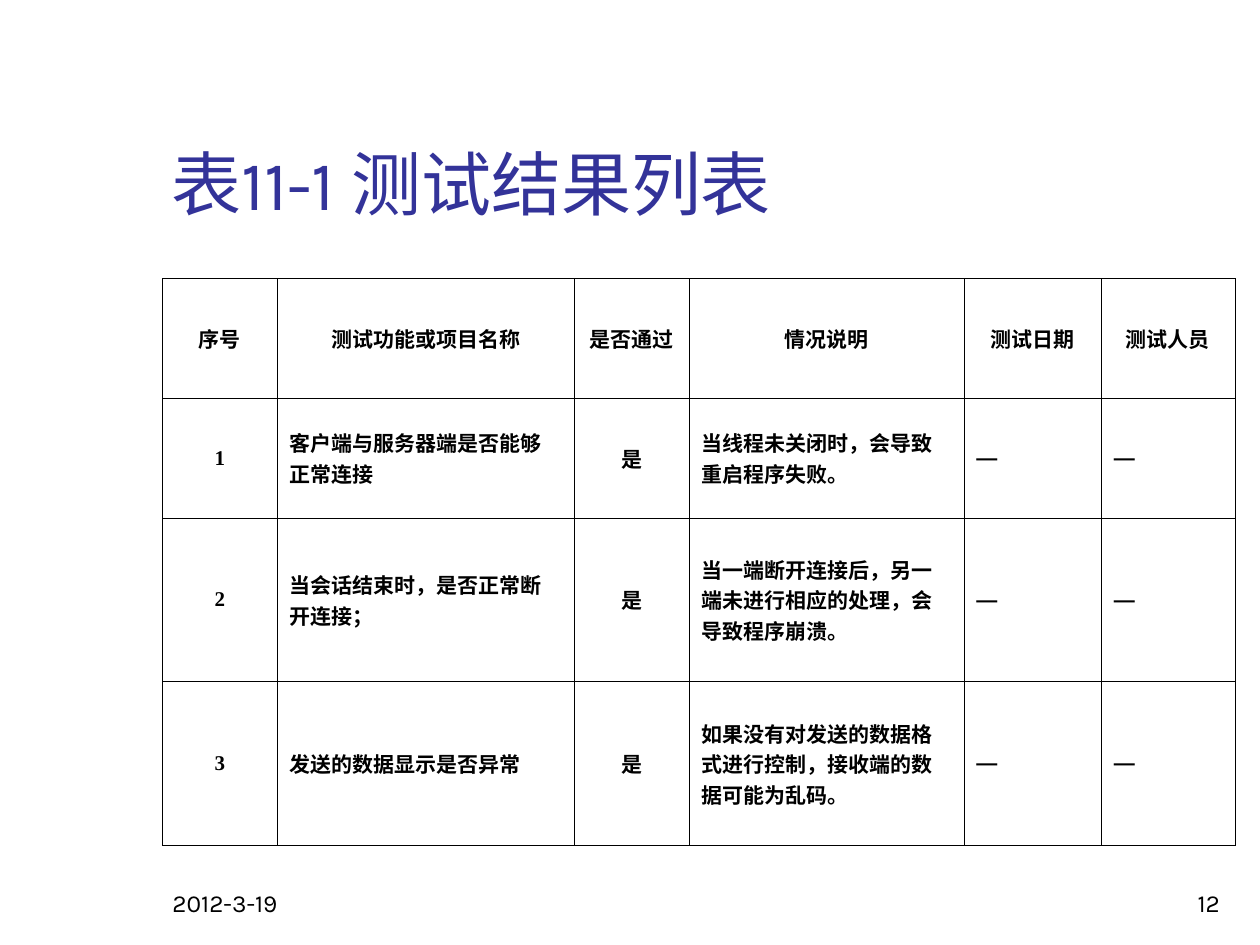
import pptx
import pptx.dml.color
import pptx.enum.text
import pptx.oxml
import pptx.oxml.ns
import pptx.util
from dataclasses import dataclass
from pptx.util import Inches

ALIGN = pptx.enum.text.PP_ALIGN
ANCHOR = pptx.enum.text.MSO_ANCHOR


@dataclass(frozen=True)
class Theme:
    ink: str = "000000"
    blue: str = "333399"
    sans: str = "Karla"
    serif: str = "Times New Roman"
    dash: str = "Arial"
    title: int = 40
    foot: int = 14
    body: int = 12
    rule: float = 0.23


theme = Theme()


def write(frame, text, size, font=theme.sans, color=theme.ink,
          align=ALIGN.LEFT, bold=False):
    frame.word_wrap = True
    par = frame.paragraphs[0]
    par.alignment = align
    run = par.add_run()
    run.text = text
    run.font.size = pptx.util.Pt(size)
    run.font.name = font
    run.font.bold = bold
    run.font.color.rgb = pptx.dml.color.RGBColor.from_string(color)


def outline(cell):
    """Draw a thin line on all four sides of a cell."""
    props = cell._tc.get_or_add_tcPr()
    width = int(pptx.util.Pt(theme.rule))
    for place, side in enumerate(("lnL", "lnR", "lnT", "lnB")):
        line = pptx.oxml.parse_xml(
            f'<a:{side} {pptx.oxml.ns.nsdecls("a")} w="{width}"><a:solidFill>'
            f'<a:srgbClr val="{theme.ink}"/></a:solidFill></a:{side}>')
        props.insert(place, line)


deck = pptx.Presentation()
deck.slide_width = Inches(10)
deck.slide_height = Inches(7.5)
slide = deck.slides.add_slide(deck.slide_layouts[6])

# Date, page number and title
labels = [
    ("2012-3-19", (1.27, 6.83, 2.08, 0.5), dict(size=theme.foot)),
    ("12", (7.7, 6.83, 2.08, 0.5), dict(size=theme.foot, align=ALIGN.RIGHT)),
    ("表11-1 测试结果列表", (1.26, 0.23, 8.52, 1.6),
     dict(size=theme.title, color=theme.blue)),
]
for text, place, style in labels:
    box = slide.shapes.add_textbox(*map(Inches, place))
    box.text_frame.vertical_anchor = ANCHOR.BOTTOM
    write(box.text_frame, text, **style)

# Test results
widths = [0.91, 2.36, 0.91, 2.18, 1.09, 1.06]
heights = [0.95, 0.95, 1.3, 1.3]
heads = ["序号", "测试功能或项目名称", "是否通过", "情况说明", "测试日期", "测试人员"]
tests = [
    ("客户端与服务器端是否能够正常连接", "当线程未关闭时，会导致重启程序失败。"),
    ("当会话结束时，是否正常断开连接；",
     "当一端断开连接后，另一端未进行相应的处理，会导致程序崩溃。"),
    ("发送的数据显示是否异常",
     "如果没有对发送的数据格式进行控制，接收端的数据可能为乱码。"),
]
rows = [heads] + [[str(num), name, "是", note, "—", "—"]
                  for num, (name, note) in enumerate(tests, 1)]

table = slide.shapes.add_table(
    len(rows), len(heads), Inches(1.29), Inches(2.21),
    Inches(sum(widths)), Inches(sum(heights))).table
table.first_row = False
table.horz_banding = False
for col, width in zip(table.columns, widths):
    col.width = Inches(width)
for row, height in zip(table.rows, heights):
    row.height = Inches(height)

for r, row in enumerate(rows):
    for c, text in enumerate(row):
        cell = table.cell(r, c)
        cell.fill.background()
        cell.vertical_anchor = ANCHOR.MIDDLE
        outline(cell)
        mid = r == 0 or c in (0, 2)
        write(cell.text_frame, text, theme.body, bold=True,
              font=theme.dash if text == "—" else theme.serif,
              align=ALIGN.CENTER if mid else ALIGN.LEFT)

deck.save("out.pptx")
